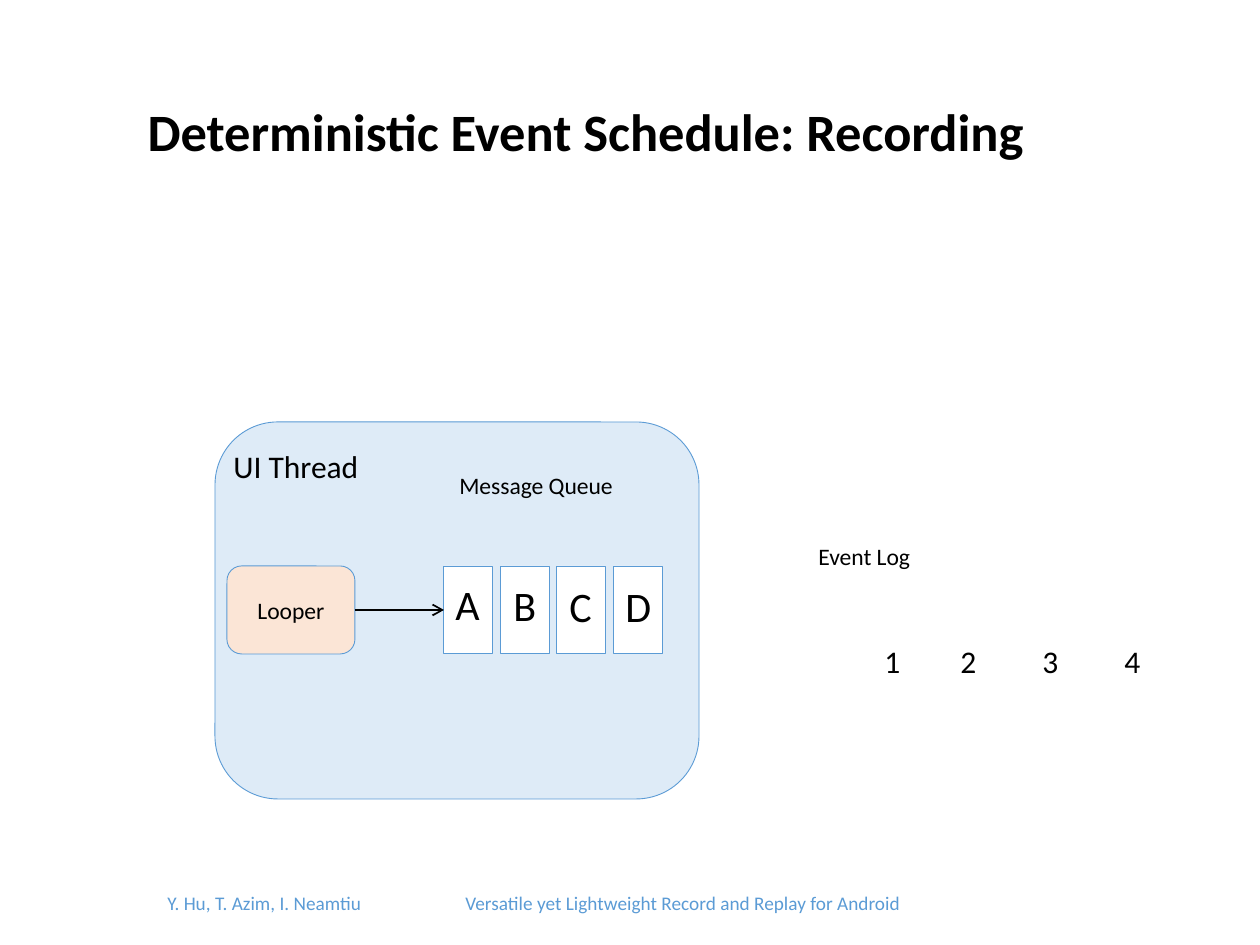
from lxml.etree import SubElement
from pptx import Presentation
from pptx.dml.color import RGBColor
from pptx.enum.shapes import MSO_CONNECTOR as Connector, MSO_SHAPE as Shape
from pptx.enum.text import MSO_ANCHOR as Anchor, MSO_AUTO_SIZE as AutoSize, PP_ALIGN as Align
from pptx.oxml.ns import qn
from pptx.util import Emu, Pt

TITLE = "Deterministic Event Schedule: Recording"
FOOTER = ("Y. Hu, T. Azim, I. Neamtiu", "Versatile yet Lightweight Record and Replay for Android")
MESSAGES = [("A", 443, 572), ("B", 501, 573), ("C", 557, 574), ("D", 613, 574)]
LOG_ENTRIES = [("1", 872), ("2", 948), ("3", 1030), ("4", 1112)]
BLUE, BLACK, WHITE = "5B9BD5", "000000", "FFFFFF"
PALE_BLUE, PEACH = "DEEBF7", "FBE5D6"
QUEUE_LEFT, QUEUE_PITCH, ROW_TOP, ROW_HEIGHT = 444, 56.4, 566, 88


def px(value):
    """Turn px into EMU at 126 px to the inch."""
    return Emu(round(value * 914400 / 126))


def color(code):
    """Turn a hex string into a colour."""
    return RGBColor.from_string(code)


def style(para, size, code=BLACK, align=Align.LEFT, bold=False):
    """Set the font and alignment of a paragraph."""
    para.alignment = align
    font = para.font
    font.name, font.size, font.bold = "Calibri", Pt(size), bold
    font.color.rgb = color(code)


def add_label(slide, text, left, top, width, height, size, align=Align.LEFT):
    """Add a wrapped black text box."""
    box = slide.shapes.add_textbox(*map(px, (left, top, width, height)))
    frame = box.text_frame
    frame.word_wrap, frame.auto_size = True, AutoSize.SHAPE_TO_FIT_TEXT
    frame.text = text
    style(frame.paragraphs[0], size, align=align)


def add_box(slide, kind, left, top, width, height, fill):
    """Add a filled shape with a thin blue outline."""
    box = slide.shapes.add_shape(kind, *map(px, (left, top, width, height)))
    box.shadow.inherit = False
    box.fill.solid()
    box.fill.fore_color.rgb = color(fill)
    box.line.color.rgb = color(BLUE)
    box.line.width = Pt(0.5)
    return box


def add_arrow(slide, source, target):
    """Join the right side of one box to the left side of another."""
    arrow = slide.shapes.add_connector(Connector.STRAIGHT, 0, 0, 0, 0)
    arrow.begin_connect(source, 3)
    arrow.end_connect(target, 1)
    arrow.line.color.rgb = color(BLACK)
    arrow.line.width = Pt(1)
    SubElement(arrow.line._get_or_add_ln(), qn("a:tailEnd"), type="arrow")
    SubElement(arrow._element.spPr, qn("a:effectLst"))


def add_footer(slide):
    """Add the authors and paper title, set apart by a tab stop."""
    box = slide.shapes.add_textbox(*map(px, (155, 885, 993, 52)))
    box.text_frame.word_wrap = True
    para = box.text_frame.paragraphs[0]
    para.text = "\t".join(FOOTER)
    stops = SubElement(para._p.get_or_add_pPr(), qn("a:tabLst"))
    SubElement(stops, qn("a:tab"), pos=str(px(298)), algn="l")
    style(para, 11, BLUE)


def add_title(slide):
    """Fill and place the title placeholder."""
    title = slide.shapes.title
    title.left, title.top, title.width, title.height = map(px, (135, 43, 1086, 183))
    frame = title.text_frame
    frame.text = TITLE
    frame.vertical_anchor, frame.auto_size = Anchor.MIDDLE, AutoSize.NONE
    style(frame.paragraphs[0], 30, bold=True)
    frame.paragraphs[0].line_spacing = 0.9


def add_thread(slide):
    """Draw the thread with its looper and message queue."""
    thread = add_box(slide, Shape.ROUNDED_RECTANGLE, 215, 422, 484, 377, PALE_BLUE)
    frame = thread.text_frame
    frame.margin_left = frame.margin_right = 0
    frame.vertical_anchor = Anchor.TOP
    frame.text = "UI Thread"
    style(frame.paragraphs[0], 18)

    looper = add_box(slide, Shape.ROUNDED_RECTANGLE, 227, ROW_TOP, 128, ROW_HEIGHT, PEACH)
    looper.text_frame.text = "Looper"
    looper.text_frame.vertical_anchor = Anchor.MIDDLE
    style(looper.text_frame.paragraphs[0], 13.5, align=Align.CENTER)

    cells = [
        add_box(slide, Shape.RECTANGLE, QUEUE_LEFT + i * QUEUE_PITCH, ROW_TOP, 49, ROW_HEIGHT, WHITE)
        for i in range(len(MESSAGES))
    ]
    add_arrow(slide, looper, cells[0])
    add_label(slide, "Message Queue", 447, 465, 203, 42, 13.5)
    for letter, left, top in MESSAGES:
        add_label(slide, letter, left, top, 45, 63, 24)


def main():
    """Build and save the slide."""
    deck = Presentation()
    deck.slide_width, deck.slide_height = px(1260), px(945)
    slide = deck.slides.add_slide(deck.slide_layouts[5])
    add_title(slide)
    add_footer(slide)
    add_thread(slide)
    add_label(slide, "Event Log", 806, 536, 159, 42, 13.5)
    for number, left in LOG_ENTRIES:
        add_label(slide, number, left, 636, 35, 50, 18, Align.JUSTIFY)
    deck.save("out.pptx")


if __name__ == "__main__":
    main()
